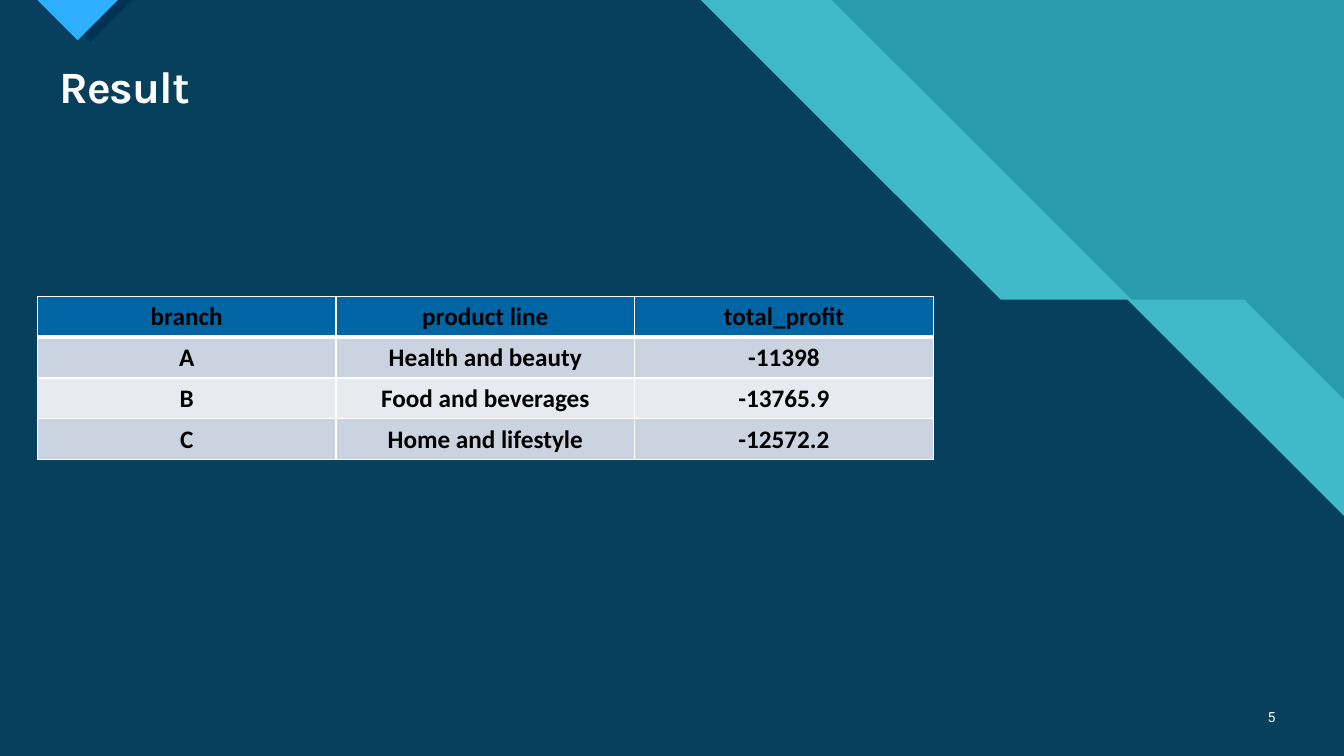
from lxml.etree import SubElement
from pptx import Presentation
from pptx.dml.color import RGBColor
from pptx.enum.text import MSO_ANCHOR, PP_ALIGN
from pptx.oxml.ns import qn
from pptx.util import Inches, Pt

WIDE, HIGH = 13.33, 7.5
UNIT = WIDE / 36  # square grid: 36 columns, 20.25 rows
COLS, ROWS = 36, 20.25
KINK = 8.03  # row where both diagonal edges step sideways

HUES = {
    "teal": "299CAB", "aqua": "47C3D3", "navy": "003352", "sky": "2FAFFF",
    "head": "0065A4", "odd": "CCD3E0", "even": "E7EAF0",
    "white": "FFFFFF", "black": "000000",
}
FONTS = {
    "title": {"name": "Karla", "size": Pt(32), "bold": True},
    "page": {"name": "Roboto", "size": Pt(10), "bold": False},
    "cell": {"name": "Calibri", "size": Pt(18), "bold": True},
}
DATA = [
    ("branch", "product line", "total_profit"),
    ("A", "Health and beauty", "-11398"),
    ("B", "Food and beverages", "-13765.9"),
    ("C", "Home and lifestyle", "-12572.2"),
]


def grid(*spans):
    return [Inches(span * UNIT) for span in spans]


def tint(hue):
    return RGBColor.from_string(HUES[hue])


def write(frame, text, style, hue, align):
    para = frame.paragraphs[0]
    para.alignment = align
    run = para.add_run()
    run.text = text
    for key, value in FONTS[style].items():
        setattr(run.font, key, value)
    run.font.color.rgb = tint(hue)
    return para, run


def outline(slide, points, hue, alpha=100):
    """Draw a filled polygon from grid points; alpha is a percentage."""
    points = [grid(*point) for point in points]
    pen = slide.shapes.build_freeform(*points[0])
    pen.add_line_segments(points[1:])
    shape = pen.convert_to_shape()
    shape.shadow.inherit = False
    shape.line.fill.background()
    shape.fill.solid()
    shape.fill.fore_color.rgb = tint(hue)
    if alpha < 100:
        color = shape.fill._xPr.find(".//" + qn("a:srgbClr"))
        SubElement(color, qn("a:alpha"), val=str(alpha * 1000))


def slope(slide, start, step, hue, alpha):
    """Fill left of a 45-degree edge that steps sideways at the kink."""
    turn = start + KINK
    outline(slide, [
        (0, 0), (start, 0), (turn, KINK), (turn + step, KINK),
        (COLS, COLS - start - step), (COLS, ROWS), (0, ROWS),
    ], hue, alpha)


def notch(slide, left, half, hue):
    outline(slide, [(left, 0), (left + half, half), (left + 2 * half, 0)], hue)


def border(cell, sides):
    props = cell._tc.get_or_add_tcPr()
    for place, (side, width) in enumerate(sides.items()):
        line = SubElement(props, qn("a:" + side), w=str(Pt(width)))
        fill = SubElement(line, qn("a:solidFill"))
        SubElement(fill, qn("a:srgbClr"), val=HUES["white"])
        props.insert(place, line)


def table(slide, left, top, width, height):
    rows, cols = len(DATA), len(DATA[0])
    body = slide.shapes.add_table(
        rows, cols, *grid(left, top, width, height)).table
    look = {"vertical_anchor": MSO_ANCHOR.MIDDLE, "margin_left": Inches(0.01),
            "margin_right": Inches(0.01), "margin_top": Inches(0.01),
            "margin_bottom": 0}
    for r, record in enumerate(DATA):
        hue = "head" if r == 0 else ("even", "odd")[r % 2]
        for c, text in enumerate(record):
            cell = body.cell(r, c)
            for key, value in look.items():
                setattr(cell, key, value)
            cell.fill.solid()
            cell.fill.fore_color.rgb = tint(hue)
            border(cell, {"lnL": 1, "lnR": 1, "lnT": 3 if r == 1 else 1,
                          "lnB": 3 if r == 0 else 1})
            write(cell.text_frame, text, "cell", "black", PP_ALIGN.CENTER)


def title(slide, text, *box):
    """Fill the title placeholder and bring it in front of the backdrop."""
    shape = slide.shapes.title
    slide.shapes._spTree.append(shape._element)
    shape.left, shape.top, shape.width, shape.height = grid(*box)
    shape.text_frame.vertical_anchor = MSO_ANCHOR.MIDDLE
    para, run = write(shape.text_frame, text, "title", "white", PP_ALIGN.LEFT)
    para.line_spacing = 0.9
    run.font._element.set("spc", "-70")


def page(slide, text, *box):
    frame = slide.shapes.add_textbox(*grid(*box)).text_frame
    frame.word_wrap = True
    frame.vertical_anchor = MSO_ANCHOR.MIDDLE
    write(frame, text, "page", "white", PP_ALIGN.RIGHT)


def main():
    deck = Presentation()
    deck.slide_width, deck.slide_height = Inches(WIDE), Inches(HIGH)
    slide = deck.slides.add_slide(deck.slide_layouts[5])
    back = slide.background.fill
    back.solid()
    back.fore_color.rgb = tint("teal")

    slope(slide, 22.28, 3.02, "aqua", 74)
    slope(slide, 18.77, 3.4, "navy", 90)
    notch(slide, 1.3, 1.12, "navy")
    notch(slide, 1, 1.08, "sky")
    title(slide, "Result", 1.32, 1.59, 33.11, 1.59)
    page(slide, "5", 33.24, 18.66, 1.19, 1.08)
    table(slide, 1, 7.94, 24, 4.38)
    deck.save("out.pptx")


if __name__ == "__main__":
    main()
